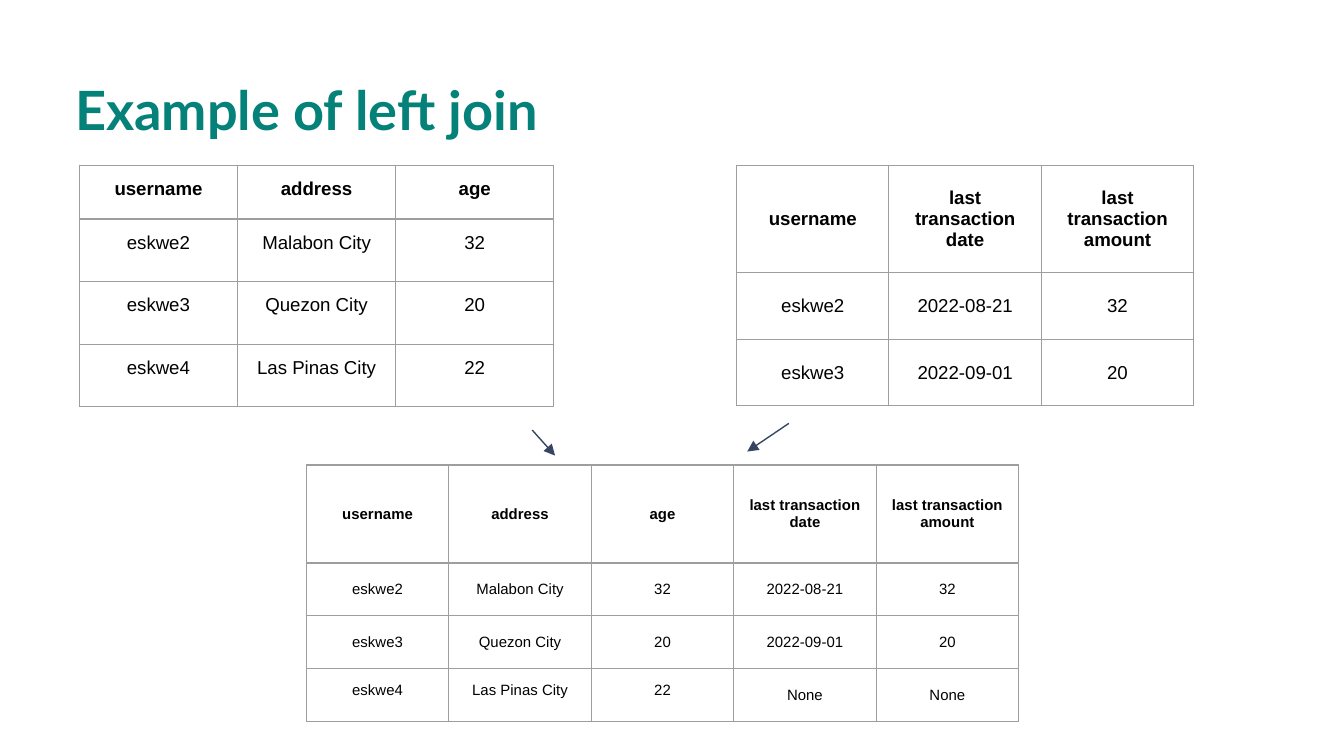
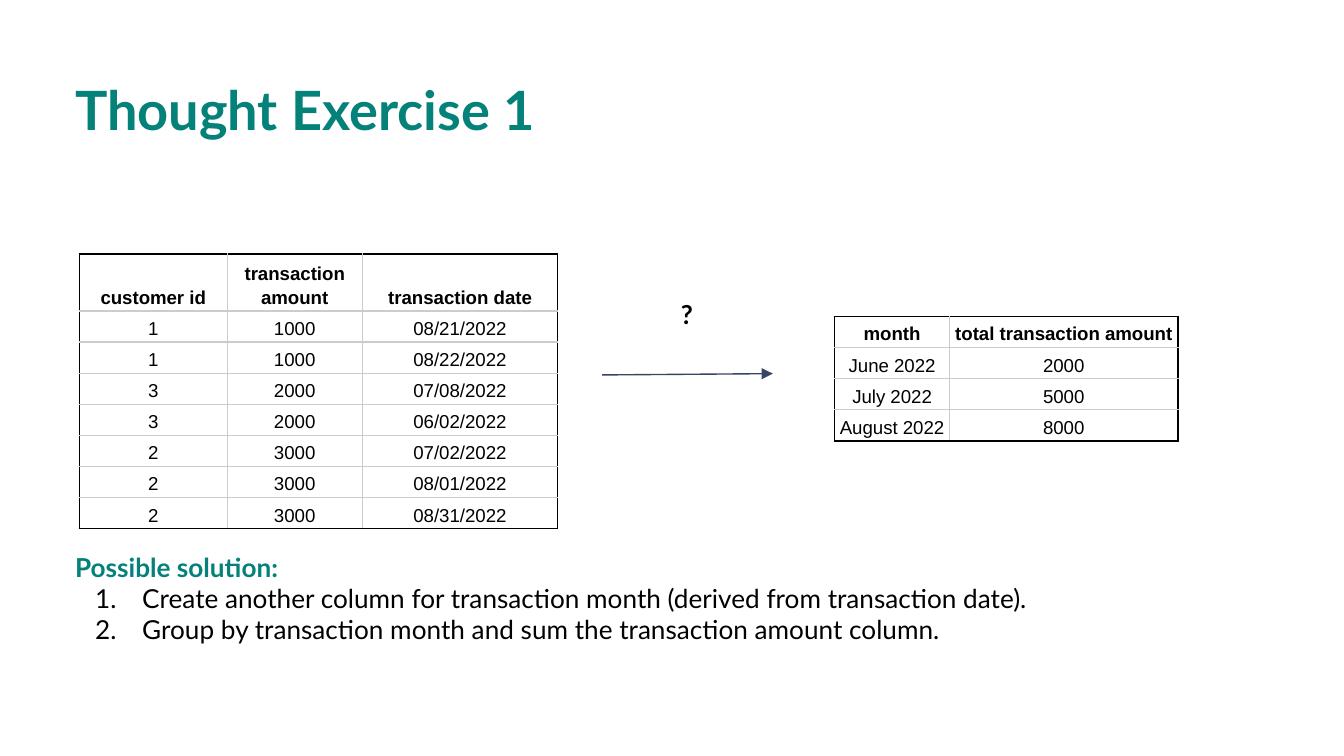
import lxml.etree
import pptx
import pptx.util
import pptx.dml.color
import pptx.enum.shapes
import pptx.enum.text
import pptx.oxml.ns

COLORS = {
    "teal": "048179",
    "ink": "000000",
    "arrow": "364564",
    "grid": "9E9E9E",
    "pale": "CCCCCC",
}
UNIT = pptx.util.Inches(0.1)
COLUMNS, ROWS = 100, 56.25
LEFT_TEXT, LEFT_TABLE = 4.6, 5.9
qn = pptx.oxml.ns.qn
rgb = pptx.dml.color.RGBColor.from_string
Anchor = pptx.enum.text.MSO_ANCHOR
Align = pptx.enum.text.PP_ALIGN


def add_words(slide, box, words, size, color, align=Align.LEFT):
    holder = slide.shapes.add_textbox(*[round(v * UNIT) for v in box])
    frame = holder.text_frame
    frame.word_wrap = True
    frame.auto_size = pptx.enum.text.MSO_AUTO_SIZE.SHAPE_TO_FIT_TEXT
    frame.margin_left = frame.margin_right = UNIT
    frame.margin_top = frame.margin_bottom = UNIT
    frame.text = words
    for paragraph in frame.paragraphs:
        paragraph.alignment = align
        font = paragraph.runs[0].font
        font.name, font.size, font.bold = "Lato", pptx.util.Pt(size), True
        font.color.rgb = rgb(COLORS[color])
    return frame


def add_records(slide, left, top, widths, heights, records, size, anchor,
                inner, outer, margins, spacing):
    frame = slide.shapes.add_table(
        len(heights), len(widths), round(left * UNIT), round(top * UNIT),
        round(sum(widths) * UNIT), round(sum(heights) * UNIT))
    table = frame.table
    table.first_row = table.horz_banding = False
    for column, width in zip(table.columns, widths):
        column.width = round(width * UNIT)
    for row, height in zip(table.rows, heights):
        row.height = round(height * UNIT)
    for r, record in enumerate(records):
        for c, value in enumerate(record):
            cell = table.cell(r, c)
            cell.text_frame.text = value
            cell.vertical_anchor = anchor
            cell.margin_left = cell.margin_right = round(margins[0] * UNIT)
            cell.margin_top = cell.margin_bottom = round(margins[1] * UNIT)
            for paragraph in cell.text_frame.paragraphs:
                paragraph.alignment = Align.CENTER
                paragraph.line_spacing = spacing
                font = paragraph.runs[0].font
                font.name, font.size, font.bold = "Arial", pptx.util.Pt(size), r == 0
                font.color.rgb = rgb(COLORS["ink"])
            edges = {"L": c == 0, "R": c == len(widths) - 1,
                     "T": r == 0, "B": r == len(heights) - 1}
            properties = cell._tc.get_or_add_tcPr()
            for side, on_edge in edges.items():
                border = lxml.etree.SubElement(properties, qn("a:ln" + side), w="9525")
                fill = lxml.etree.SubElement(border, qn("a:solidFill"))
                lxml.etree.SubElement(fill, qn("a:srgbClr"),
                                      val=COLORS[outer if on_edge else inner])
            cell.fill.background()
    return table


deck = pptx.Presentation()
deck.slide_width = round(COLUMNS * UNIT)
deck.slide_height = round(ROWS * UNIT)

join, exercise = [deck.slides.add_slide(deck.slide_layouts[6]) for _ in range(2)]
for slide, title in [(join, "Example of left join"), (exercise, "Thought Exercise 1")]:
    add_words(slide, (LEFT_TEXT, 4.7, 61.9, 6.9), title, 29, "teal")

customers = [
    ["username", "address", "age"],
    ["eskwe2", "Malabon City", "32"],
    ["eskwe3", "Quezon City", "20"],
    ["eskwe4", "Las Pinas City", "22"],
]
transactions = [
    ["username", "last transaction date", "last transaction amount"],
    ["eskwe2", "2022-08-21", "32"],
    ["eskwe3", "2022-09-01", "20"],
]
latest = {record[0]: record[1:] for record in transactions}
joined = [record + latest.get(record[0], ["None", "None"]) for record in customers]

framed = {"inner": "grid", "outer": "grid", "margins": (1, 1), "spacing": None}
add_records(join, LEFT_TABLE, 12.3, [11.77] * 3, [4] + [4.66] * 3,
            customers, 10, Anchor.TOP, **framed)
add_records(join, 54.8, 12.3, [11.34] * 3, [8] + [4.95] * 2,
            transactions, 10, Anchor.MIDDLE, **framed)
result = add_records(join, 22.8, 34.6, [10.6] * 5, [7.3] + [3.93] * 3,
                     joined, 8, Anchor.MIDDLE, **framed)
for c in range(len(customers[0])):
    result.cell(len(joined) - 1, c).vertical_anchor = Anchor.TOP

purchases = [
    ["customer id", "transaction\namount", "transaction date"],
    ["1", "1000", "08/21/2022"],
    ["1", "1000", "08/22/2022"],
    ["3", "2000", "07/08/2022"],
    ["3", "2000", "06/02/2022"],
    ["2", "3000", "07/02/2022"],
    ["2", "3000", "08/01/2022"],
    ["2", "3000", "08/31/2022"],
]
monthly = [
    ["month", "total transaction amount"],
    ["June 2022", "2000"],
    ["July 2022", "5000"],
    ["August 2022", "8000"],
]
compact = {"inner": "pale", "outer": "ink", "margins": (0.3, 0.2), "spacing": 1.15}
for left, top, widths, records in [
    (LEFT_TABLE, 18.9, [11, 10.05, 14.55], purchases),
    (62.1, 23.55, [8.55, 17], monthly),
]:
    add_records(exercise, left, top, widths, [2.2] * len(records),
                records, 10, Anchor.BOTTOM, **compact)

for slide, ends in [
    (join, (39.6, 32, 41.3, 33.9)),
    (join, (58.7, 31.5, 55.6, 33.6)),
    (exercise, (44.8, 27.9, 57.5, 27.8)),
]:
    arrow = slide.shapes.add_connector(
        pptx.enum.shapes.MSO_CONNECTOR.STRAIGHT, *[round(v * UNIT) for v in ends])
    arrow.line.color.rgb = rgb(COLORS["arrow"])
    arrow.line.width = pptx.util.Pt(0.75)
    lxml.etree.SubElement(arrow.line._get_or_add_ln(), qn("a:tailEnd"), type="triangle")
    lxml.etree.SubElement(arrow._element.spPr, qn("a:effectLst"))

add_words(exercise, (48.7, 21.2, 4.8, 4.4), "?", 14, "ink", Align.CENTER)
solution = add_words(
    exercise, (LEFT_TEXT, 40, 72.9, 11.4),
    "Possible solution:\n"
    "Create another column for transaction month (derived from transaction date).\n"
    "Group by transaction month and sum the transaction amount column.",
    14, "teal")
for step in solution.paragraphs[1:]:
    step.runs[0].font.bold = False
    step.runs[0].font.color.rgb = rgb(COLORS["ink"])
    properties = step._p.get_or_add_pPr()
    properties.set("marL", str(round(5 * UNIT)))
    properties.set("indent", str(round(-3.5 * UNIT)))
    number_color = lxml.etree.SubElement(properties, qn("a:buClr"))
    lxml.etree.SubElement(number_color, qn("a:srgbClr"), val=COLORS["ink"])
    lxml.etree.SubElement(properties, qn("a:buAutoNum"), type="arabicPeriod")

deck.save("out.pptx")
